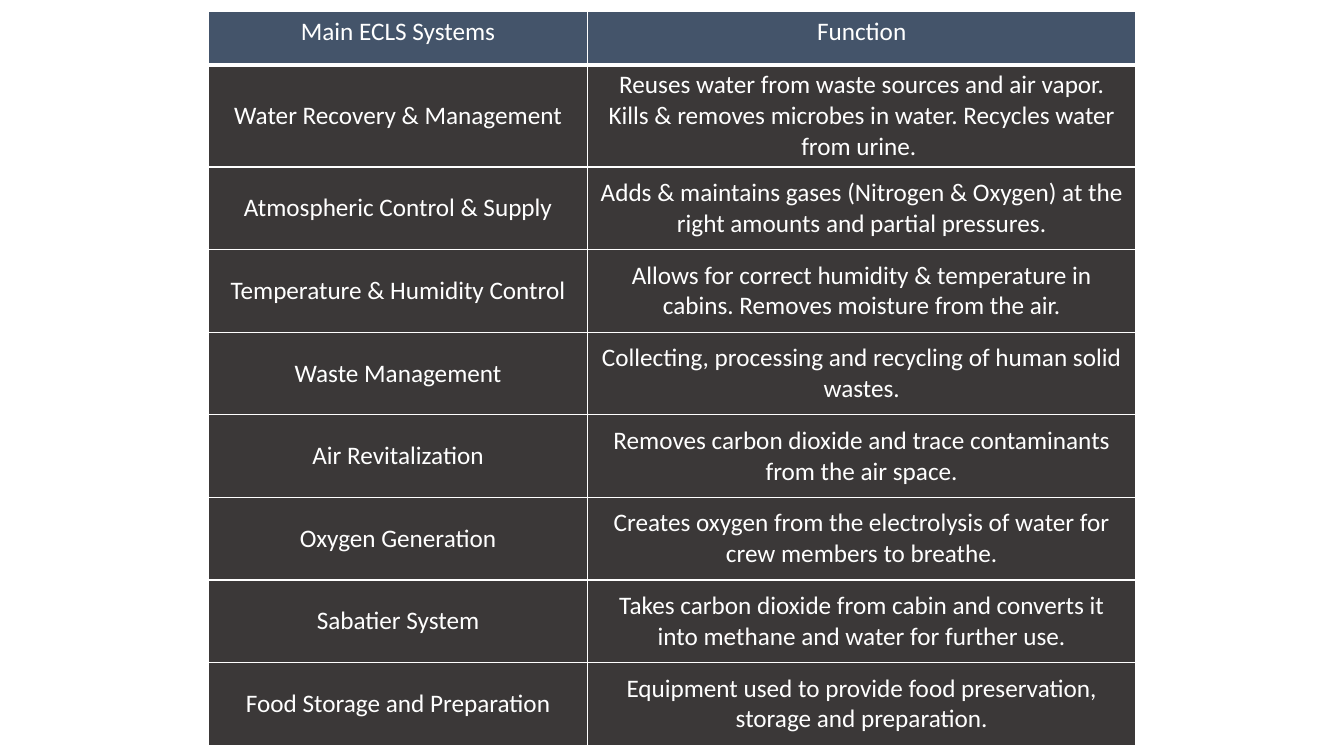
"""Build a slide with a table of the main ECLS systems and their functions."""
from lxml import etree
from pptx import Presentation
from pptx.dml.color import RGBColor
from pptx.enum.text import MSO_ANCHOR, PP_ALIGN
from pptx.oxml.ns import qn
from pptx.util import Pt

CENTER = PP_ALIGN.CENTER
TOP, MIDDLE = MSO_ANCHOR.TOP, MSO_ANCHOR.MIDDLE
WHITE = RGBColor(0xFF, 0xFF, 0xFF)
SLATE = RGBColor(0x44, 0x54, 0x6A)
CHARCOAL = RGBColor(0x3B, 0x38, 0x38)

COLUMN_WIDTHS = [270.7, 391.7]
HEADER_HEIGHT, SYSTEM_HEIGHT = 38.2, 59
HEADER_BORDERS = {"a:lnL": 1, "a:lnR": 1, "a:lnT": 1, "a:lnB": 3}

ROWS = [
    ("Main ECLS Systems", "Function"),
    ("Water Recovery & Management",
     "Reuses water from waste sources and air vapor. Kills & removes microbes in water. "
     "Recycles water from urine. "),
    ("Atmospheric Control & Supply",
     "Adds & maintains gases (Nitrogen & Oxygen) at the right amounts and partial pressures."),
    ("Temperature & Humidity Control",
     "Allows for correct humidity & temperature in cabins. Removes moisture from the air."),
    ("Waste Management",
     "Collecting, processing and recycling of human solid wastes."),
    ("Air Revitalization",
     "Removes carbon dioxide and trace contaminants from the air space."),
    ("Oxygen Generation",
     "Creates oxygen from the electrolysis of water for crew members to breathe."),
    ("Sabatier System",
     "Takes carbon dioxide from cabin and converts it into methane and water for further use."),
    ("Food Storage and Preparation",
     "Equipment used to provide food preservation, storage and preparation."),
]


def add_border(cell, side, width):
    line = etree.SubElement(cell._tc.get_or_add_tcPr(), qn(side), w=str(Pt(width)))
    fill = etree.SubElement(line, qn("a:solidFill"))
    etree.SubElement(fill, qn("a:srgbClr"), val=str(WHITE))


prs = Presentation()
prs.slide_width, prs.slide_height = Pt(960), Pt(540)
slide = prs.slides.add_slide(prs.slide_layouts[6])

table_height = HEADER_HEIGHT + SYSTEM_HEIGHT * (len(ROWS) - 1)
systems = slide.shapes.add_table(
    len(ROWS), len(COLUMN_WIDTHS), Pt(149), Pt(8),
    Pt(sum(COLUMN_WIDTHS)), Pt(table_height)).table

for column, width in zip(systems.columns, COLUMN_WIDTHS):
    column.width = Pt(width)

for row_index, texts in enumerate(ROWS):
    is_header = row_index == 0
    systems.rows[row_index].height = Pt(HEADER_HEIGHT if is_header else SYSTEM_HEIGHT)
    for column_index, text in enumerate(texts):
        cell = systems.cell(row_index, column_index)
        cell.vertical_anchor = TOP if is_header else MIDDLE
        if is_header:
            for side, width in HEADER_BORDERS.items():
                add_border(cell, side, width)
        cell.fill.solid()
        cell.fill.fore_color.rgb = SLATE if is_header else CHARCOAL
        paragraph = cell.text_frame.paragraphs[0]
        paragraph.alignment = CENTER
        run = paragraph.add_run()
        run.text = text
        run.font.name = "Calibri"
        run.font.size = Pt(18)
        run.font.bold = False
        run.font.color.rgb = WHITE

prs.save("out.pptx")
